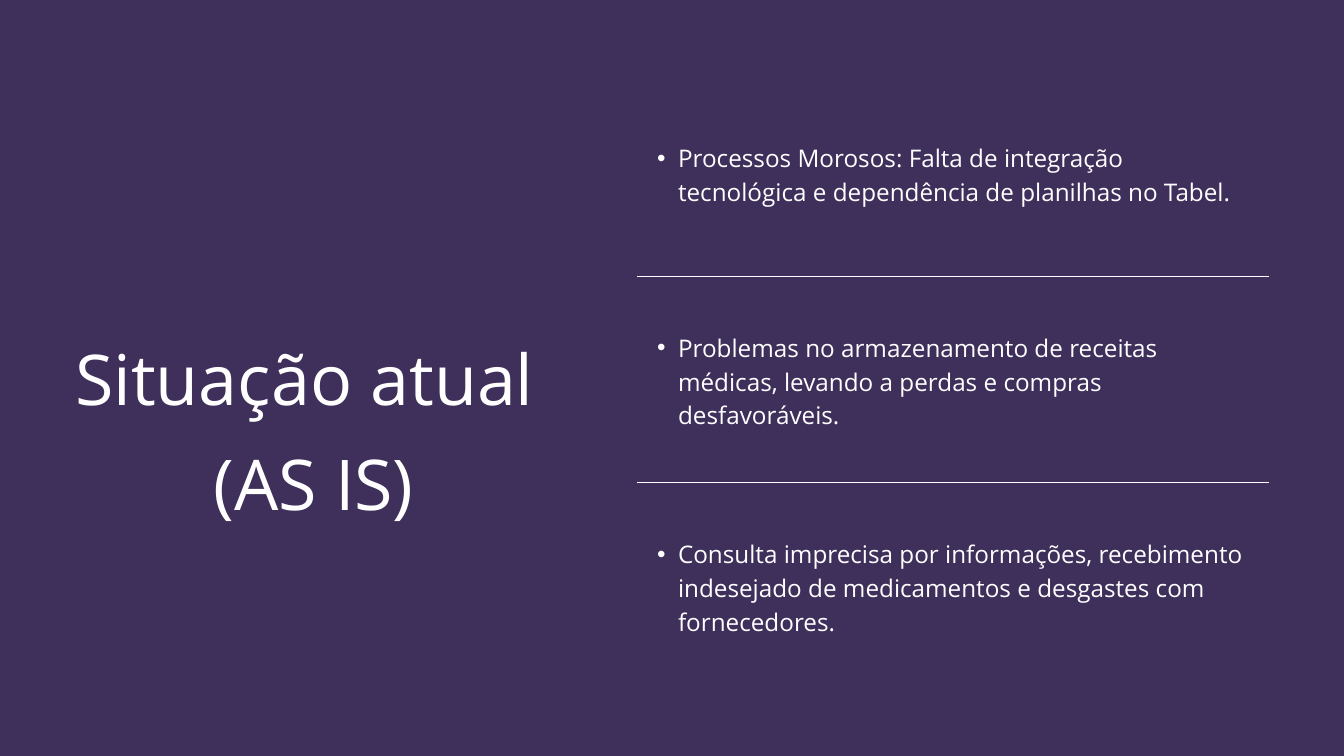
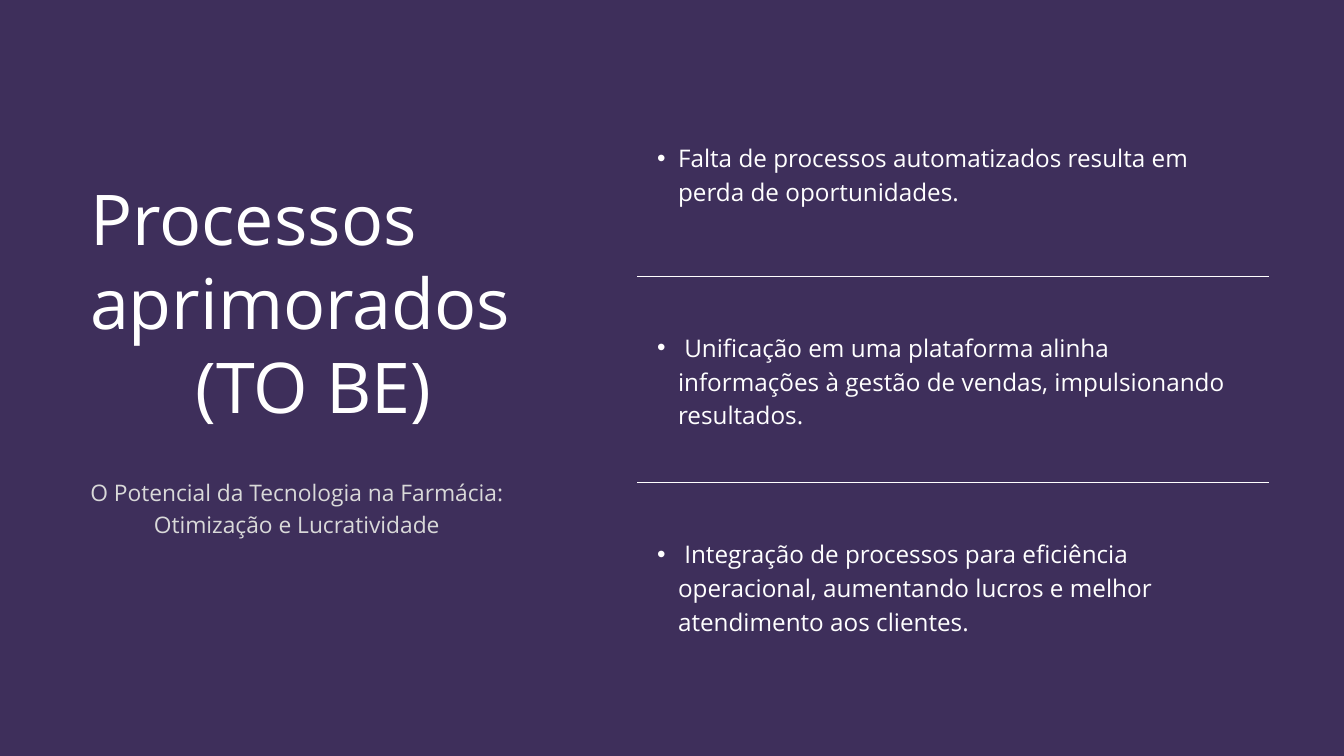
"""Build two slides that set a process as it is beside its improved form."""
from dataclasses import dataclass

from lxml import etree
from pptx import Presentation
from pptx import util as u
from pptx.dml.color import RGBColor
from pptx.enum import shapes, text
from pptx.oxml.ns import qn

FONT = "Open Sans"
PURPLE = RGBColor(0x3E, 0x2F, 0x5B)
WHITE = RGBColor(0xFF, 0xFF, 0xFF)
GREY = RGBColor(0xD9, 0xD9, 0xD9)
LEFT = text.PP_ALIGN.LEFT
MID = text.PP_ALIGN.CENTER
COMPARE = 4
SLOTS = (1, 2, 3)
SPARE = 4
RULES = (4.12, 7.18)


@dataclass(frozen=True)
class Box:
    """Place of a text frame, in inches."""
    left: float
    top: float
    width: float
    height: float


@dataclass(frozen=True)
class Style:
    """Look of a paragraph, in points."""
    size: float
    lead: float
    align: text.PP_ALIGN = LEFT
    tint: RGBColor = WHITE


@dataclass(frozen=True)
class Label:
    """Words with their place and look."""
    words: str
    box: Box
    style: Style


@dataclass(frozen=True)
class Page:
    """Content of one slide."""
    title: Label
    extras: tuple[Label, ...]
    points: tuple[str, ...]


HEAD = Style(75, 90)
TAG = Style(75, 90, MID)
SUB = Style(24.4, 34.2, MID, GREY)
POINT = Style(26, 36.4)
CELLS = (Box(9.48, 2.06, 9.17, 0.99), Box(9.48, 4.88, 9.17, 1.49),
         Box(9.48, 7.95, 9.17, 1.49))

PAGES = (
    Page(
        Label("Situação atual", Box(1.12, 4.99, 7.1, 1.26), HEAD),
        (Label("(AS IS)", Box(1.12, 6.55, 7.1, 1.26), TAG),),
        ("Processos Morosos: Falta de integração tecnológica e dependência "
         "de planilhas no Tabel.",
         "Problemas no armazenamento de receitas médicas, levando a perdas e "
         "compras desfavoráveis.",
         "Consulta imprecisa por informações, recebimento indesejado de "
         "medicamentos e desgastes com fornecedores."),
    ),
    Page(
        Label("Processos aprimorados", Box(1.34, 2.61, 7.1, 2.51), HEAD),
        (Label("O Potencial da Tecnologia na Farmácia: Otimização e "
               "Lucratividade", Box(1.34, 7.05, 6.15, 1.38), SUB),
         Label("(TO BE)", Box(1.12, 5.11, 7.1, 1.26), TAG)),
        ("Falta de processos automatizados resulta em perda de "
         "oportunidades.",
         " Unificação em uma plataforma alinha informações à gestão de "
         "vendas, impulsionando resultados.",
         " Integração de processos para eficiência operacional, aumentando "
         "lucros e melhor atendimento aos clientes."),
    ),
)


def write(shape, label: Label):
    """Move a shape to its box, write its words and return the paragraph."""
    box, style = label.box, label.style
    shape.left, shape.top = u.Inches(box.left), u.Inches(box.top)
    shape.width, shape.height = u.Inches(box.width), u.Inches(box.height)
    frame = shape.text_frame
    frame.word_wrap = True
    frame.auto_size = text.MSO_AUTO_SIZE.NONE
    frame.vertical_anchor = text.MSO_ANCHOR.TOP
    frame.margin_left = frame.margin_right = u.Inches(0)
    frame.margin_top = frame.margin_bottom = u.Inches(0)
    para = frame.paragraphs[0]
    para.alignment = style.align
    para.line_spacing = u.Pt(style.lead)
    para.space_before = para.space_after = u.Pt(0)
    run = para.add_run()
    run.text = label.words
    font = run.font
    font.name, font.size, font.bold = FONT, u.Pt(style.size), False
    font.color.rgb = style.tint
    return para


def bullet(para) -> None:
    """Give a paragraph a hanging round bullet."""
    props = para._p.get_or_add_pPr()
    props.set("marL", str(u.Inches(0.61)))
    props.set("indent", str(u.Inches(-0.31)))
    etree.SubElement(props, qn("a:buFont"), typeface="Arial")
    etree.SubElement(props, qn("a:buChar"), char="•")


def rule(slide, top: float) -> None:
    """Draw a thin line between two points."""
    line = slide.shapes.add_connector(
        shapes.MSO_CONNECTOR.STRAIGHT, u.Inches(9.48), u.Inches(top),
        u.Inches(18.88), u.Inches(top))
    line.line.color.rgb = WHITE
    line.line.width = u.Pt(0.75)
    etree.SubElement(line._element.spPr, qn("a:effectLst"))


def draw(deck, page: Page) -> None:
    """Add one slide with its title, rules, points and extra labels."""
    slide = deck.slides.add_slide(deck.slide_layouts[COMPARE])
    holds = {hold.placeholder_format.idx: hold for hold in slide.placeholders}
    write(slide.shapes.title, page.title)
    for top in RULES:
        rule(slide, top)
    for slot, words, cell in zip(SLOTS, page.points, CELLS):
        bullet(write(holds[slot], Label(words, cell, POINT)))
    spare = holds[SPARE]._element
    spare.getparent().remove(spare)
    for label in page.extras:
        write(slide.shapes.add_textbox(0, 0, 0, 0), label)


def main() -> None:
    """Build and save the deck."""
    deck = Presentation()
    deck.slide_width, deck.slide_height = u.Inches(20), u.Inches(11.25)
    fill = deck.slide_master.background.fill
    fill.solid()
    fill.fore_color.rgb = PURPLE
    for page in PAGES:
        draw(deck, page)
    deck.save("out.pptx")


if __name__ == "__main__":
    main()
